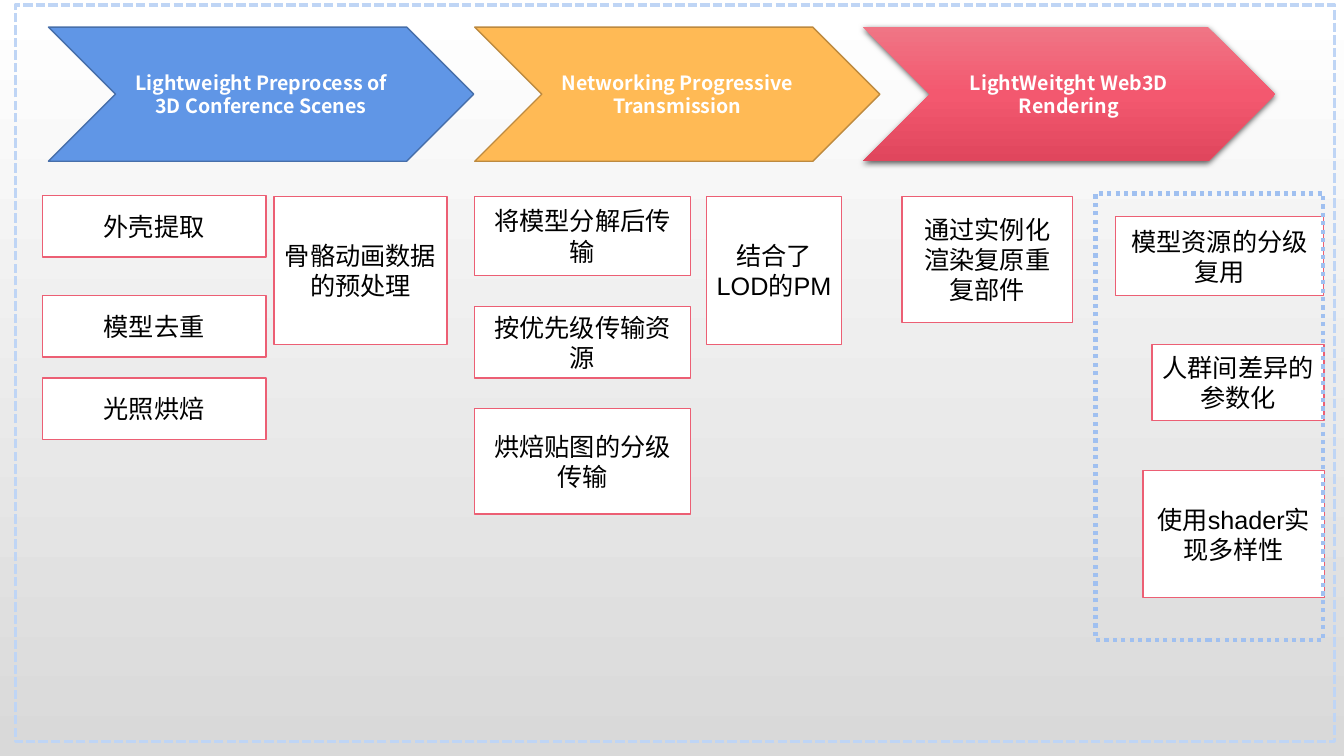
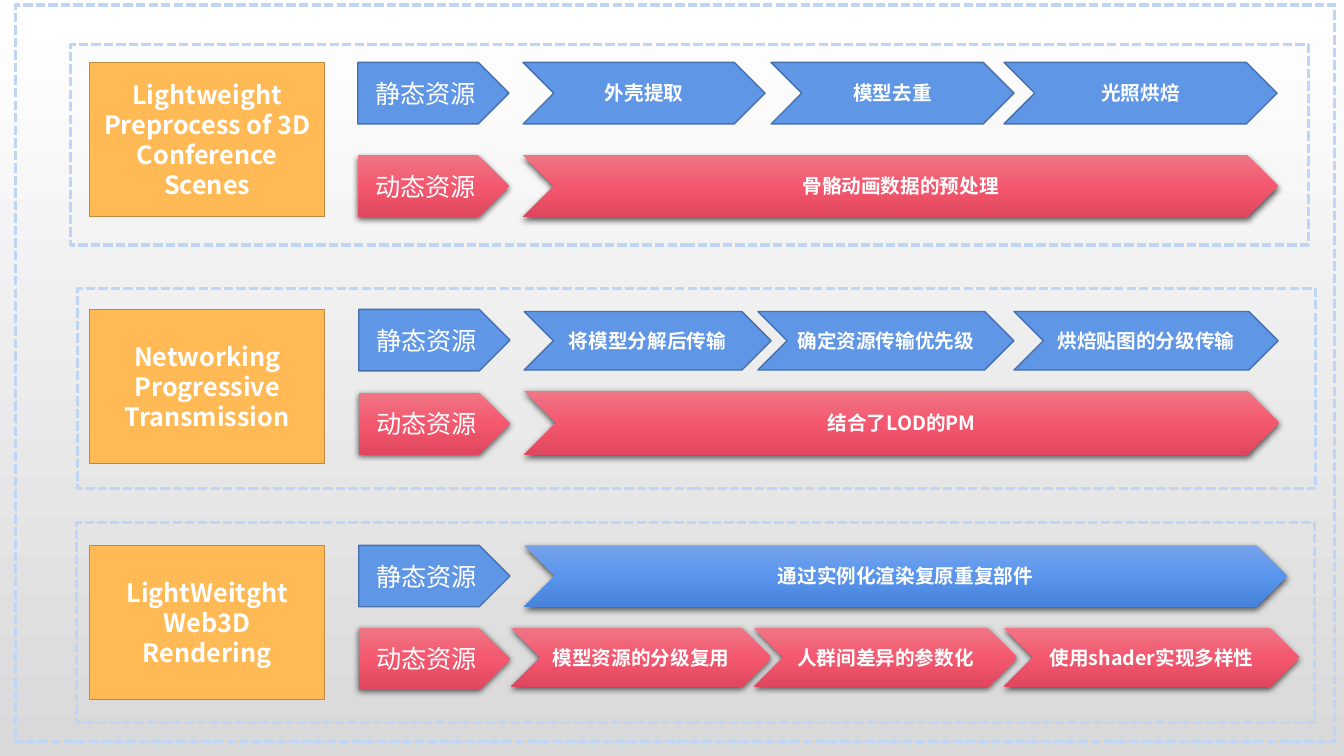
from copy import deepcopy

from lxml.etree import SubElement
from pptx import Presentation
from pptx.dml.color import RGBColor
from pptx.enum.dml import MSO_LINE
from pptx.enum.shapes import MSO_SHAPE
from pptx.enum.text import MSO_ANCHOR, PP_ALIGN
from pptx.oxml.ns import qn
from pptx.util import Pt

RECTANGLE, CHEVRON, PENTAGON = MSO_SHAPE.RECTANGLE, MSO_SHAPE.CHEVRON, MSO_SHAPE.PENTAGON
DASHED, DOTTED = MSO_LINE.SQUARE_DOT, MSO_LINE.ROUND_DOT
CENTER, MIDDLE = PP_ALIGN.CENTER, MSO_ANCHOR.MIDDLE

COLORS = {
    "white": "FFFFFF", "gray": "D9D9D9", "black": "000000",
    "blue": "6096E6", "blue edge": "476FAA",
    "orange": "FFBA55", "orange edge": "BD8A3F", "card edge": "EC5F74",
    "frame": "BFD5F5", "group": "A0C0F0",
    "red top": "F07585", "red middle": "F3586F", "red bottom": "E0465D",
    "blue top": "76A2EA", "blue middle": "5995ED", "blue bottom": "4783DA",
}
FLAT_STYLES = {  # fill and edge
    "blue": ("blue", "blue edge"),
    "orange": ("orange", "orange edge"),
    "card": ("white", "card edge"),
}
GLOSSY_STYLES = {  # gradient from top to bottom
    "glossy red": ("red top", "red middle", "red bottom"),
    "glossy blue": ("blue top", "blue middle", "blue bottom"),
}
CJK_FONT = "Noto Sans CJK SC"
TEXT_FORMATS = {
    "step": {"name": CJK_FONT, "size": Pt(14), "bold": True, "color": "white"},
    "stage": {"name": CJK_FONT, "size": Pt(18), "bold": True, "color": "white"},
    "label": {"name": "Arial", "size": Pt(18), "bold": False, "color": "white"},
    "card": {"name": "Arial", "size": Pt(18), "bold": False, "color": "black"},
}
STAGES = (
    "Lightweight Preprocess of 3D Conference Scenes",
    "Networking Progressive Transmission",
    "LightWeitght Web3D Rendering",
)


def rgb(name):
    return RGBColor.from_string(COLORS[name])


def set_gradient(fill, element, names):
    """Fill downwards with evenly spaced colours."""
    fill.gradient()
    fill.gradient_angle = 270
    stop_list = next(element.iter(qn("a:gsLst")))
    for _ in names[2:]:
        stop_list.append(deepcopy(stop_list[-1]))
    for index, (stop, name) in enumerate(zip(fill.gradient_stops, names)):
        stop.position = index / (len(names) - 1)
        stop.color.rgb = rgb(name)


class Deck:
    def __init__(self):
        self.presentation = Presentation()
        self.presentation.slide_width = Pt(960)
        self.presentation.slide_height = Pt(540)
        master = self.presentation.slide_master
        set_gradient(master.background.fill, master.element, ("white", "gray"))
        self.slide = None

    def add_slide(self):
        layout = self.presentation.slide_layouts[6]
        self.slide = self.presentation.slides.add_slide(layout)
        self.frame(10.8, 3.6, 942.5, 526.3)

    def shape(self, kind, left, top, width, height):
        shape = self.slide.shapes.add_shape(kind, Pt(left), Pt(top), Pt(width), Pt(height))
        shape.shadow.inherit = False
        return shape

    def frame(self, left, top, width, height, color="frame", weight=2.25, dash=DASHED):
        shape = self.shape(RECTANGLE, left, top, width, height)
        shape.fill.background()
        shape.line.color.rgb = rgb(color)
        shape.line.width = Pt(weight)
        shape.line.dash_style = dash

    def block(self, kind, left, top, width, height, text, style, text_format):
        shape = self.shape(kind, left, top, width, height)
        if style in FLAT_STYLES:
            fill, edge = FLAT_STYLES[style]
            shape.fill.solid()
            shape.fill.fore_color.rgb = rgb(fill)
            shape.line.color.rgb = rgb(edge)
            shape.line.width = Pt(1)
        else:
            set_gradient(shape.fill, shape.element, GLOSSY_STYLES[style])
            shape.line.fill.background()
            self.cast_shadow(shape)
        self.set_text(shape.text_frame, text, TEXT_FORMATS[text_format])

    def cast_shadow(self, shape):
        effects = next(shape.element.iter(qn("a:effectLst")))
        shadow = SubElement(effects, qn("a:outerShdw"), blurRad=str(Pt(4.5)),
                            dist=str(Pt(1.5)), dir="5400000", rotWithShape="0")
        color = SubElement(shadow, qn("a:srgbClr"), val=COLORS["black"])
        SubElement(color, qn("a:alpha"), val="63000")

    def set_text(self, text_frame, text, text_format):
        text_frame.word_wrap = True
        text_frame.vertical_anchor = MIDDLE
        paragraph = text_frame.paragraphs[0]
        paragraph.alignment = CENTER
        run = paragraph.add_run()
        run.text = text
        for attribute, value in text_format.items():
            if attribute == "color":
                run.font.color.rgb = rgb(value)
            else:
                setattr(run.font, attribute, value)
        SubElement(run.font._element, qn("a:ea"), typeface=CJK_FONT)


def build_overview(deck):
    deck.add_slide()

    # Stage arrows
    arrows = ((34.6, 303.8, "blue"), (339.1, 289.4, "orange"), (616.3, 294.5, "glossy red"))
    for (left, width, style), stage in zip(arrows, STAGES):
        deck.block(CHEVRON, left, 19.4, width, 95.8, stage, style, "step")

    # Technique cards, by column: left, width, then top, height and text
    columns = (
        (30.2, 159.8, ((139.7, 43.9, "外壳提取"), (211, 43.9, "模型去重"), (270, 43.9, "光照烘焙"))),
        (195.8, 123.5, ((140.4, 105.8, "骨骼动画数据的预处理"),)),
        (339.1, 154.1, ((140.4, 56.2, "将模型分解后传输"), (218.9, 51.1, "按优先级传输资源"),
                        (291.6, 75.6, "烘焙贴图的分级传输"))),
        (504.7, 96.5, ((140.4, 105.8, "结合了LOD的PM"),)),
        (644.4, 121.7, ((140.4, 90, "通过实例化渲染复原重复部件"),)),
        (797, 148.3, ((154.8, 56.2, "模型资源的分级复用"),)),
        (823, 122.8, ((246.2, 54, "人群间差异的参数化"),)),
        (816.5, 129.6, ((336.2, 90.7, "使用shader实现多样性"),)),
    )
    for left, width, cards in columns:
        for top, height, text in cards:
            deck.block(RECTANGLE, left, top, width, height, text, "card", "card")

    # Crowd techniques group
    deck.frame(782.6, 138.2, 162.7, 319, "group", 3, DOTTED)


def build_pipeline(deck):
    deck.add_slide()

    # Each row: stage top, frame corner, label left, tracks
    # Each track: label, label style, label top, step style, step top, step height, steps
    static, dynamic = ("静态资源", "blue"), ("动态资源", "glossy red")
    rows = (
        (44.6, (50.4, 31.7), 255.6, (
            (*static, 44.6, "blue", 44.6, 43.9, (
                (373.7, 172.8, "外壳提取"), (550.8, 173.5, "模型去重"), (717.1, 195.1, "光照烘焙"))),
            (*dynamic, 110.9, "glossy red", 110.9, 43.9, (
                (373.7, 539.3, "骨骼动画数据的预处理"),)))),
        (221, (55.4, 205.9), 256.3, (
            (*static, 221, "blue", 222.5, 41.8, (
                (374.4, 176.4, "将模型分解后传输"), (541.4, 182.9, "确定资源传输优先级"),
                (724.3, 188.6, "烘焙贴图的分级传输"))),
            (*dynamic, 280.8, "glossy red", 279.4, 45.4, (
                (374.4, 539.3, "结合了LOD的PM"),)))),
        (389.5, (54.7, 373), 256.3, (
            (*static, 389.5, "glossy blue", 389.5, 43.9, (
                (374.4, 545, "通过实例化渲染复原重复部件"),)),
            (*dynamic, 448.6, "glossy red", 448.6, 42, (
                (365, 185.8, "模型资源的分级复用"), (538.6, 187.9, "人群间差异的参数化"),
                (717.1, 211, "使用shader实现多样性"))))),
    )
    for stage, (stage_top, corner, label_left, tracks) in zip(STAGES, rows):
        for label, label_style, label_top, step_style, step_top, step_height, steps in tracks:
            for left, width, text in steps:
                deck.block(CHEVRON, left, step_top, width, step_height, text, step_style, "step")
            deck.block(PENTAGON, label_left, label_top, 108, 43.9, label, label_style, "label")
        deck.block(RECTANGLE, 64.1, stage_top, 167.8, 110.2, stage, "orange", "stage")
        deck.frame(*corner, 884.2, 143.3)


def main():
    deck = Deck()
    build_overview(deck)
    build_pipeline(deck)
    deck.presentation.save("out.pptx")


if __name__ == "__main__":
    main()
